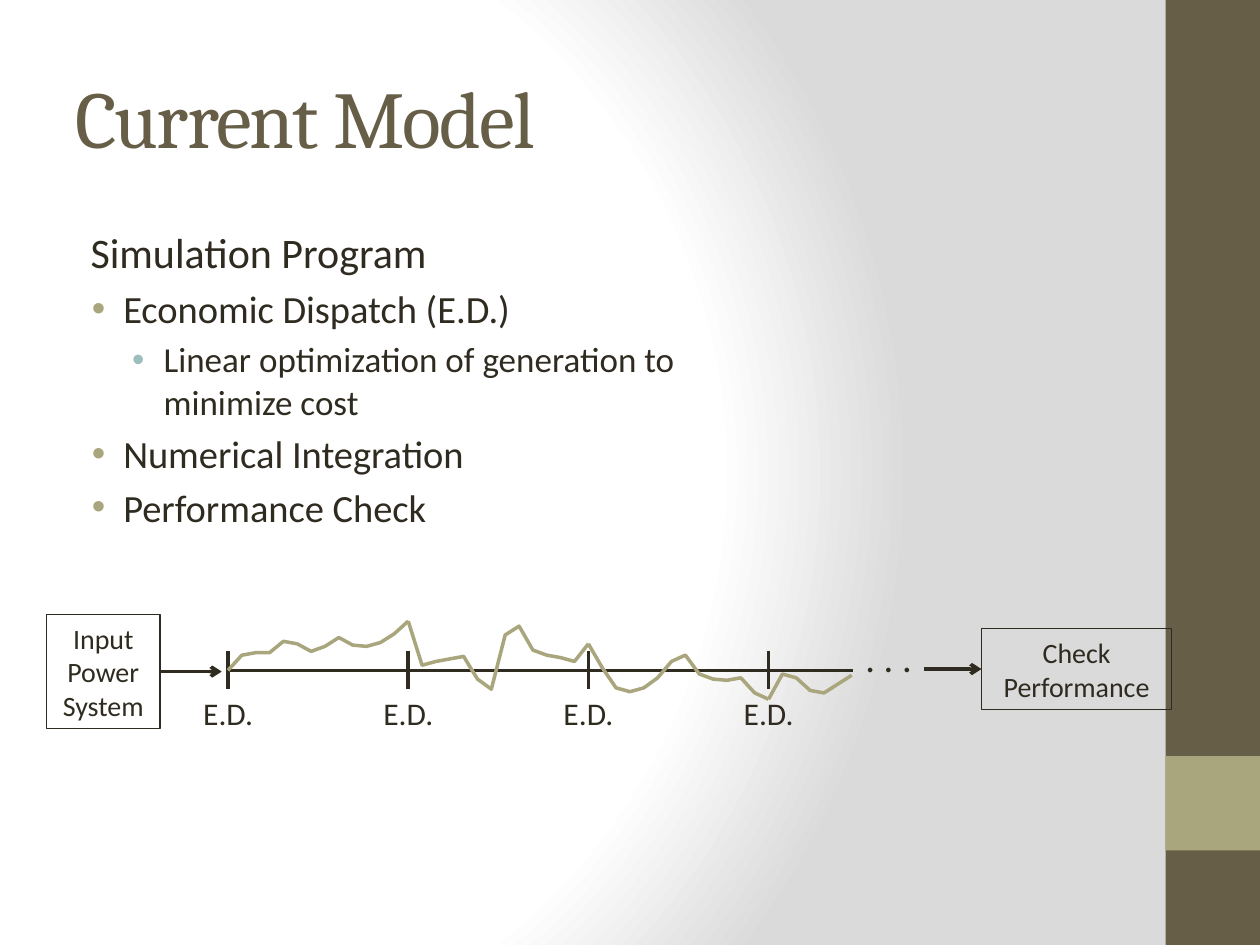
from lxml import etree
from pptx import Presentation
from pptx.dml.color import RGBColor
from pptx.enum.shapes import MSO_CONNECTOR as Conn, MSO_SHAPE as Shape
from pptx.enum.text import MSO_ANCHOR as Anchor, PP_ALIGN as Align
from pptx.oxml import parse_xml
from pptx.oxml.ns import nsdecls, qn
from pptx.util import Pt

PX = 9144  # EMU per px, 100 px to the inch
COLORS = {
    "brown": "675E47", "olive": "A9A57C", "teal": "9CBEBD",
    "ink": "2F2B20", "white": "FFFFFF", "gray": "DADADA",
}
BODY, HEAD = "Calibri", "Cambria"
AXIS_Y, TICK_X, STEP = 532, 181, 143
PACE = 11  # px between two load values

# text, size, left margin, indent, bullet colour
POINTS = [
    ("Simulation Program", 24, 12, 0, None),
    ("Economic Dispatch (E.D.)", 22, 38, -25, "olive"),
    ("Linear optimization of generation to minimize cost", 20, 70, -25, "teal"),
    ("Numerical Integration", 22, 38, -25, "olive"),
    ("Performance Check", 22, 38, -25, "olive"),
]

# Load above the axis, one row per dispatch interval
LOADS = [
    [0, 12, 14, 14, 23, 21, 15, 19, 26, 20, 19, 22, 29, 39],
    [39, 4, 7, 9, 11, -7, -15, 28, 35, 16, 12, 10, 7, 21],
    [21, 2, -14, -17, -14, -6, 7, 12, -3, -7, -8, -6, -18, -23],
    [-23, -3, -6, -16, -18, -11, -4],
]


def rgb(name):
    return RGBColor.from_string(COLORS[name])


def style(para, size, color="ink", font=BODY):
    for run in para.runs:
        run.font.size, run.font.name = Pt(size), font
        run.font.color.rgb = rgb(color)


def paint_back(slide):
    slide.background.fill.solid()
    stops = "".join(
        f'<a:gs pos="{pos}000"><a:srgbClr val="{COLORS[name]}"/></a:gs>'
        for pos, name in ((0, "white"), (75, "white"), (100, "gray")))
    grad = parse_xml(
        f'<a:gradFill {nsdecls("a")} rotWithShape="1"><a:gsLst>{stops}</a:gsLst>'
        '<a:path path="circle"><a:fillToRect l="20000" t="50000" r="100000" '
        'b="50000"/></a:path></a:gradFill>')
    props = slide.element.find(".//" + qn("p:bgPr"))
    props.replace(props.find(qn("a:solidFill")), grad)


def add_rect(slide, box, fill=None):
    rect = slide.shapes.add_shape(Shape.RECTANGLE, *(v * PX for v in box))
    rect.shadow.inherit = False
    if fill:
        rect.fill.solid()
        rect.fill.fore_color.rgb = rgb(fill)
        rect.line.fill.background()
    else:
        rect.fill.background()
        rect.line.color.rgb = rgb("ink")
        rect.line.width = Pt(0.75)
    return rect


def add_box(slide, box, text):
    rect = add_rect(slide, box)
    frame = rect.text_frame
    frame.text, frame.word_wrap = text, True
    frame.vertical_anchor = Anchor.MIDDLE
    frame.paragraphs[0].alignment = Align.CENTER
    style(frame.paragraphs[0], 16)
    return rect


def add_text(slide, box, text, size, color="ink", font=BODY,
             align=Align.LEFT, anchor=Anchor.TOP):
    frame = slide.shapes.add_textbox(*(v * PX for v in box)).text_frame
    frame.text, frame.word_wrap = text, True
    frame.vertical_anchor = anchor
    para = frame.paragraphs[0]
    para.alignment = align
    style(para, size, color, font)
    return frame


def add_list(slide, box):
    frame = add_text(slide, box, "", 24)
    for i, (text, size, left, indent, bullet) in enumerate(POINTS):
        para = frame.add_paragraph() if i else frame.paragraphs[0]
        para.text = text
        para.space_before = Pt(size * 0.2)
        style(para, size)
        props = para._p.get_or_add_pPr()
        props.set("marL", str(left * PX))
        props.set("indent", str(indent * PX))
        if bullet:
            para.level = int(left > 38)
            tint = etree.SubElement(props, qn("a:buClr"))
            etree.SubElement(tint, qn("a:srgbClr"), val=COLORS[bullet])
            etree.SubElement(props, qn("a:buFont"), typeface="Arial")
            etree.SubElement(props, qn("a:buChar"), char="•")


def add_line(slide, start, end, arrow=False):
    line = slide.shapes.add_connector(
        Conn.STRAIGHT, *(v * PX for v in (*start, *end)))
    line.line.color.rgb = rgb("ink")
    line.line.width = Pt(2)
    if arrow:
        etree.SubElement(line.line._get_or_add_ln(), qn("a:tailEnd"), type="arrow")
    etree.SubElement(line._element.spPr, qn("a:effectLst"))
    return line


def add_curve(slide, left, loads):
    points = [(left + i * PACE, AXIS_Y - load) for i, load in enumerate(loads)]
    pen = slide.shapes.build_freeform(*points[0], scale=PX)
    pen.add_line_segments(points[1:], close=False)
    curve = pen.convert_to_shape()
    curve.shadow.inherit = False
    curve.fill.background()
    curve.line.color.rgb = rgb("olive")
    curve.line.width = Pt(2)
    etree.SubElement(curve.line._get_or_add_ln(), qn("a:round"))


def main():
    deck = Presentation()
    deck.slide_width, deck.slide_height = 1000 * PX, 750 * PX
    slide = deck.slides.add_slide(deck.slide_layouts[6])

    # Backdrop and side band
    paint_back(slide)
    add_rect(slide, (925, 0, 75, 750), "brown")
    add_rect(slide, (925, 600, 75, 75), "olive")

    # Title and list
    title = add_text(slide, (50, 30, 833, 125), "Current Model", 46, "brown",
                     HEAD, anchor=Anchor.MIDDLE)
    title.paragraphs[0].runs[0].font._element.set("spc", "-100")
    add_list(slide, (50, 175, 541, 292))

    # Time axis with dispatch ticks
    add_line(slide, (TICK_X, AXIS_Y), (677, AXIS_Y))
    ticks = [TICK_X + i * STEP for i in range(len(LOADS))]
    for x in ticks:
        add_line(slide, (x, AXIS_Y - 15), (x, AXIS_Y + 15))
        add_text(slide, (x - 34, 546, 68, 40), "E.D.", 18,
                 align=Align.CENTER, anchor=Anchor.MIDDLE)
    add_text(slide, (677, 498, 67, 47), ". . .", 22)
    for x, loads in zip(ticks, LOADS):
        add_curve(slide, x, loads)

    # Input and output boxes with arrows
    source = add_box(slide, (37, 488, 90, 90), "Input Power System")
    check = add_box(slide, (779, 499, 151, 64), "Check Performance")
    add_line(slide, (127, 533), (176, 533), True).begin_connect(source, 3)
    add_line(slide, (733, 531), (779, 531), True).end_connect(check, 1)

    deck.save("out.pptx")


if __name__ == "__main__":
    main()
